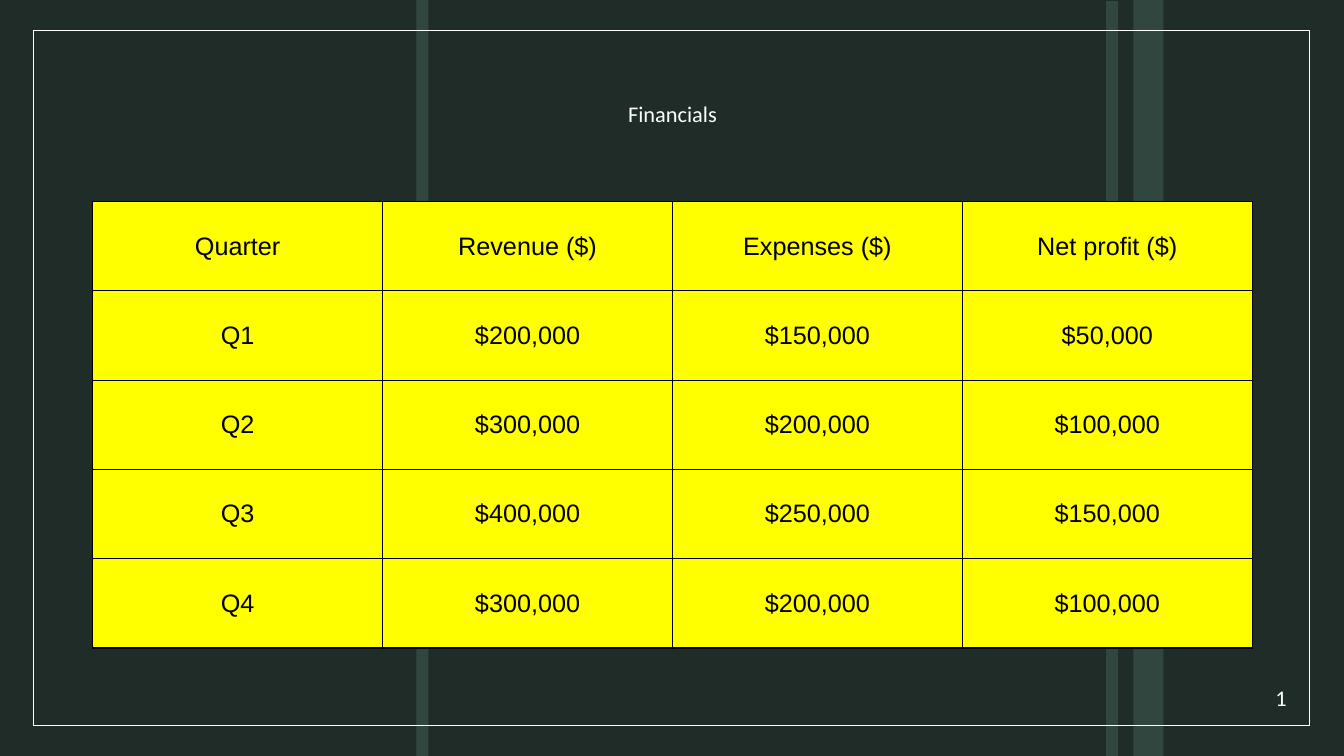
import lxml.etree
import pptx
import pptx.dml.color
import pptx.enum.shapes
import pptx.enum.text
import pptx.oxml.ns
import pptx.util

Inches = pptx.util.Inches
Pt = pptx.util.Pt
qn = pptx.oxml.ns.qn
ALIGN = pptx.enum.text.PP_ALIGN
MIDDLE = pptx.enum.text.MSO_ANCHOR.MIDDLE

COLOURS = {
    "background": "1F2C28",
    "stripe": "31463F",
    "light": "FFFFFF",
    "cell": "FFFF00",
    "ink": "000000",
}
LABEL_FONT = {"name": "Calibri", "size": Pt(16), "bold": False}
CELL_FONT = {"name": "Arial", "size": Pt(18), "bold": False}

FINANCIALS = [
    ["Quarter", "Revenue ($)", "Expenses ($)", "Net profit ($)"],
    ["Q1", "$200,000", "$150,000", "$50,000"],
    ["Q2", "$300,000", "$200,000", "$100,000"],
    ["Q3", "$400,000", "$250,000", "$150,000"],
    ["Q4", "$300,000", "$200,000", "$100,000"],
]


def rgb(colour):
    return pptx.dml.color.RGBColor.from_string(COLOURS[colour])


def paint(fill, colour):
    fill.solid()
    fill.fore_color.rgb = rgb(colour)


def write(paragraph, text, font, colour, align):
    paragraph.alignment = align
    run = paragraph.add_run()
    run.text = text
    for attribute, value in font.items():
        setattr(run.font, attribute, value)
    run.font.color.rgb = rgb(colour)
    return run


def add_rectangle(slide, left, top, width, height):
    rectangle = slide.shapes.add_shape(
        pptx.enum.shapes.MSO_SHAPE.RECTANGLE,
        Inches(left), Inches(top), Inches(width), Inches(height))
    rectangle.shadow.inherit = False
    return rectangle


def add_backdrop(slide, left, top, width, height):
    paint(slide.background.fill, "background")

    # Vertical stripes: offset from the left, offset from the top, width
    for across, down, thickness in [(10.97, 0.01, 0.12), (4.13, 0, 0.12), (11.24, 0, 0.3)]:
        stripe = add_rectangle(slide, left + across, top + down, thickness, height)
        paint(stripe.fill, "stripe")
        stripe.line.fill.background()

    # Thin frame inside the slide edge
    frame = add_rectangle(slide, left + 0.33, top + 0.3, width - 0.67, height - 0.6)
    frame.fill.background()
    frame.line.color.rgb = rgb("light")
    frame.line.width = Pt(1)


def add_heading(slide, left, top, width, height):
    heading = slide.shapes.title
    heading.left, heading.top = Inches(left), Inches(top)
    heading.width, heading.height = Inches(width), Inches(height)
    heading.text_frame.vertical_anchor = MIDDLE
    paragraph = heading.text_frame.paragraphs[0]
    paragraph.line_spacing = 0.9
    write(paragraph, "Financials", LABEL_FONT, "light", ALIGN.CENTER)


def add_borders(cell):
    properties = cell._tc.get_or_add_tcPr()
    for position, side in enumerate(["a:lnL", "a:lnR", "a:lnT", "a:lnB"]):
        border = lxml.etree.Element(qn(side), w=str(Pt(1)))
        fill = lxml.etree.SubElement(border, qn("a:solidFill"))
        lxml.etree.SubElement(fill, qn("a:srgbClr"), val=COLOURS["ink"])
        properties.insert(position, border)


def add_financials(slide, left, top, width, height):
    rows, columns = len(FINANCIALS), len(FINANCIALS[0])
    table = slide.shapes.add_table(
        rows, columns, Inches(left), Inches(top), Inches(width), Inches(height)).table
    for row, values in enumerate(FINANCIALS):
        for column, value in enumerate(values):
            cell = table.cell(row, column)
            paint(cell.fill, "cell")
            add_borders(cell)
            cell.vertical_anchor = MIDDLE
            write(cell.text_frame.paragraphs[0], value, CELL_FONT, "ink", ALIGN.CENTER)


def add_page_number(slide, left, top, width, height):
    page_number = slide.shapes.add_textbox(
        Inches(left), Inches(top), Inches(width), Inches(height)).text_frame
    page_number.word_wrap = True
    page_number.vertical_anchor = MIDDLE
    run = write(page_number.paragraphs[0], "1", LABEL_FONT, "light", ALIGN.RIGHT)
    # Turn the run into a live slide number field
    field = run._r
    field.tag = qn("a:fld")
    field.set("id", "{B6F15528-21DE-4FAA-801E-634DDDAF4B2B}")
    field.set("type", "slidenum")


def main():
    presentation = pptx.Presentation()
    presentation.slide_width = Inches(13.33)
    presentation.slide_height = Inches(7.5)
    slide = presentation.slides.add_slide(presentation.slide_layouts[5])

    add_backdrop(slide, 0, 0, 13.33, 7.5)
    add_heading(slide, 0.42, 0.42, 12.5, 1.45)
    add_financials(slide, 0.92, 2, 11.5, 4.43)
    add_page_number(slide, 11.94, 6.72, 0.92, 0.4)

    presentation.save("out.pptx")


if __name__ == "__main__":
    main()
